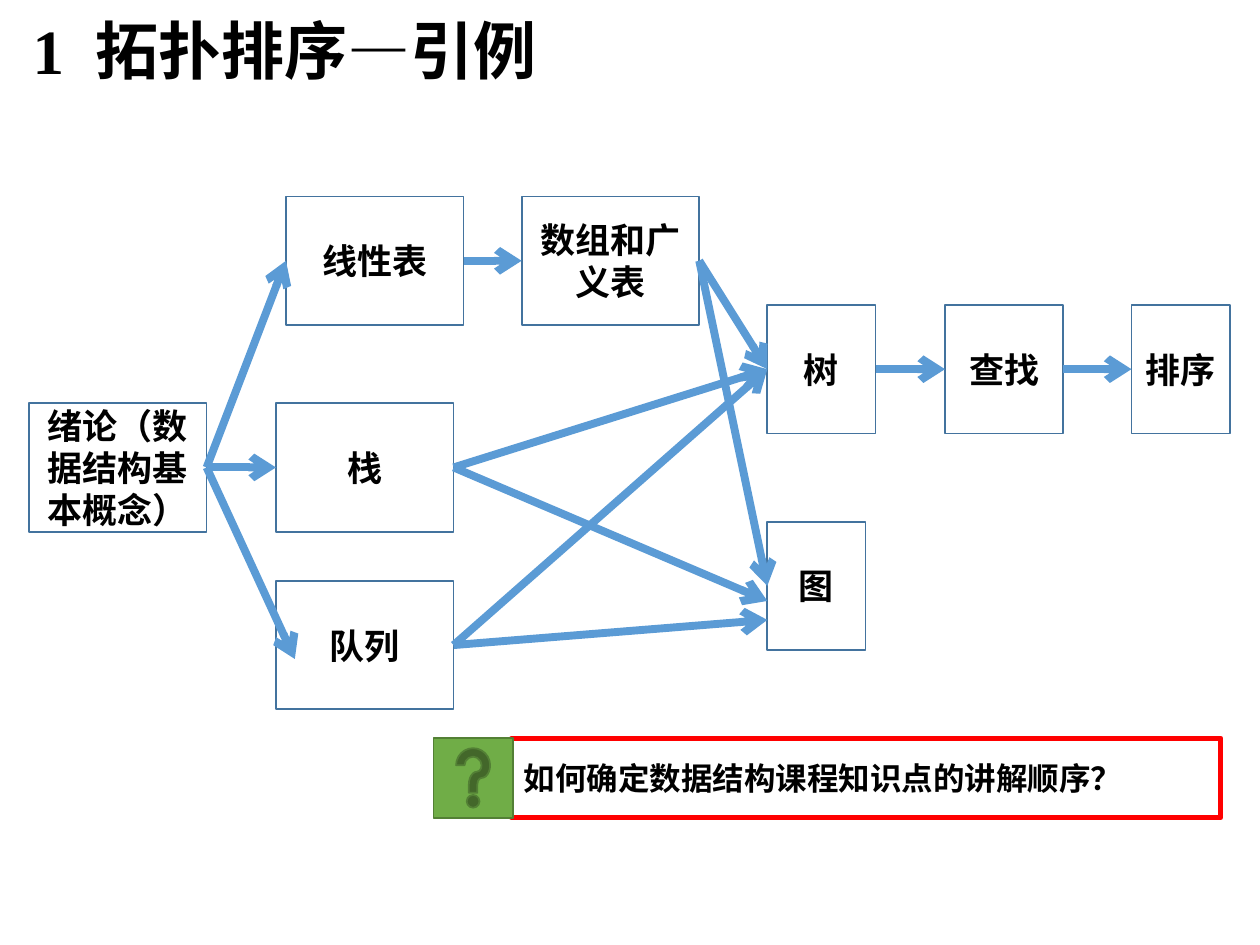
from dataclasses import dataclass

from lxml import etree
from pptx import Presentation, util as u
from pptx.dml.color import RGBColor
from pptx.enum import shapes, text
from pptx.oxml.ns import qn


@dataclass(frozen=True)
class Theme:
    ink: str = "000000"
    paper: str = "FFFFFF"
    edge: str = "43739E"
    arrow: str = "5B9BD5"
    alert: str = "FF0000"
    help: str = "70AD47"
    rim: str = "538035"
    head: int = 36
    node: int = 20
    ask: int = 18


theme = Theme()
RIGHT, LEFT = 3, 1


def write(para, words, size, face):
    run = para.add_run()
    run.text = words
    run.font.size = u.Pt(size)
    run.font.name = face
    run.font.bold = True
    run.font.color.rgb = RGBColor.from_string(theme.ink)
    return run


def draw(kind, area, fill, line, width):
    """Add a preset shape without shadow; a fill of None leaves it open."""
    shape = slide.shapes.add_shape(kind, *[u.Inches(n) for n in area])
    shape.shadow.inherit = False
    if fill:
        shape.fill.solid()
        shape.fill.fore_color.rgb = RGBColor.from_string(fill)
    else:
        shape.fill.background()
    shape.line.color.rgb = RGBColor.from_string(line)
    shape.line.width = u.Pt(width)
    shape.text_frame.word_wrap = True
    shape.text_frame.vertical_anchor = text.MSO_ANCHOR.MIDDLE
    return shape


deck = Presentation()
deck.slide_width, deck.slide_height = u.Inches(10), u.Inches(7.5)
slide = deck.slides.add_slide(deck.slide_layouts[5])

# Title
title = slide.shapes.title
title.left, title.top = u.Inches(0.16), u.Inches(0.08)
title.width, title.height = u.Inches(9.69), u.Inches(0.7)
frame = title.text_frame
frame.auto_size = text.MSO_AUTO_SIZE.NONE
frame.vertical_anchor = text.MSO_ANCHOR.MIDDLE
para = frame.paragraphs[0]
para.alignment = text.PP_ALIGN.LEFT
para.line_spacing = 0.9
write(para, "1", theme.head, "Times New Roman")
gap = write(para, " ", theme.head, "Times New Roman")
gap.font._element.set("spc", "900")  # widens the space after the number
write(para, "拓扑排序—引例", theme.head, "Times New Roman")

# Course topics: name, words, left, top, width
topics = [
    ("intro", "绪论（数据结构基本概念）", 0.23, 3.2, 1.41),
    ("list", "线性表", 2.27, 1.56, 1.41),
    ("stack", "栈", 2.19, 3.2, 1.41),
    ("queue", "队列", 2.19, 4.61, 1.41),
    ("array", "数组和广义表", 4.14, 1.56, 1.41),
    ("tree", "树", 6.09, 2.42, 0.86),
    ("graph", "图", 6.09, 4.14, 0.78),
    ("search", "查找", 7.5, 2.42, 0.94),
    ("sort", "排序", 8.98, 2.42, 0.78),
]
nodes = {}
for name, words, left, top, width in topics:
    node = draw(shapes.MSO_SHAPE.RECTANGLE, (left, top, width, 1.02),
                theme.paper, theme.edge, 1)
    para = node.text_frame.paragraphs[0]
    para.alignment = text.PP_ALIGN.CENTER
    write(para, words, theme.node, "Calibri")
    nodes[name] = node

# Arrows end at a topic's left side, or at a free point
links = [
    ("intro", "list"), ("intro", "stack"), ("intro", (2.34, 5.23)),
    ("list", "array"), ("array", "tree"), ("stack", "tree"),
    ("stack", (6.09, 4.77)), ("queue", "tree"), ("tree", "search"),
    ("array", "graph"), ("search", "sort"), ("queue", (6.09, 4.92)),
]
for start, end in links:
    x, y = (0, 0) if end in nodes else end
    link = slide.shapes.add_connector(
        shapes.MSO_CONNECTOR.STRAIGHT, 0, 0, u.Inches(x), u.Inches(y))
    link.begin_connect(nodes[start], RIGHT)
    if end in nodes:
        link.end_connect(nodes[end], LEFT)
    link.line.color.rgb = RGBColor.from_string(theme.arrow)
    link.line.width = u.Pt(4.5)
    etree.SubElement(link.line._get_or_add_ln(), qn("a:tailEnd"), type="arrow")
    etree.SubElement(link._element.spPr, qn("a:effectLst"))

# Question bar
ask = draw(shapes.MSO_SHAPE.RECTANGLE, (4.06, 5.86, 5.63, 0.63),
           None, theme.alert, 3)
para = ask.text_frame.paragraphs[0]
para.alignment = text.PP_ALIGN.LEFT
write(para, "如何确定数据结构课程知识点的讲解顺序？", theme.ask, "Arial")
draw(shapes.MSO_SHAPE.ACTION_BUTTON_HELP, (3.44, 5.86, 0.63, 0.63),
     theme.help, theme.rim, 1)

deck.save("out.pptx")
